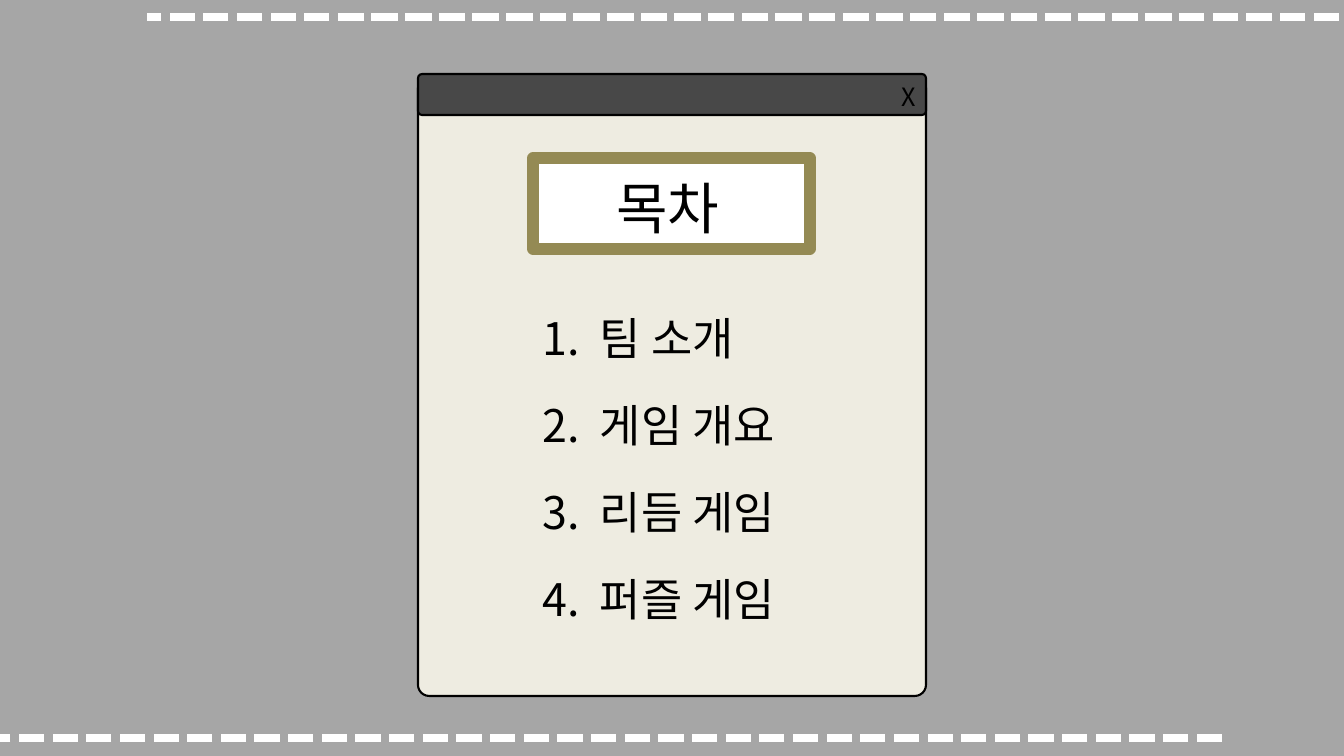
from dataclasses import dataclass

import pptx
import pptx.dml.color
import pptx.enum.dml
import pptx.enum.shapes
import pptx.enum.text
import pptx.oxml
import pptx.oxml.ns
import pptx.util

EMU_PER_PX = 914400 / 100.8
SLIDE_WIDTH, SLIDE_HEIGHT = 1344, 756
NUMBER_WIDTH = 57


@dataclass(frozen=True)
class Theme:
    font: str = "Noto Sans CJK KR"
    background: str = "A6A6A6"
    dash: str = "FFFFFF"
    ink: str = "000000"
    window: str = "EEECE1"
    title_bar: str = "484848"
    heading_fill: str = "FFFFFF"
    heading_frame: str = "948A54"
    heading_size: int = 40
    item_size: int = 32
    close_size: int = 18
    outline: float = 1.5
    frame_outline: int = 8
    dash_width: int = 6


THEME = Theme()
CONTENTS = ["팀 소개", "게임 개요", "리듬 게임", "퍼즐 게임"]


def px(length):
    return pptx.util.Emu(round(length * EMU_PER_PX))


def rgb(color):
    return pptx.dml.color.RGBColor.from_string(color)


def add_element(parent, tag, **attributes):
    element = pptx.oxml.parse_xml(f"<a:{tag} {pptx.oxml.ns.nsdecls('a')}/>")
    for name, value in attributes.items():
        element.set(name, str(value))
    parent.append(element)
    return element


def add_dashed_line(slide, right, left, y):
    line = slide.shapes.add_connector(
        pptx.enum.shapes.MSO_CONNECTOR.STRAIGHT, px(right), px(y), px(left), px(y))
    line.line.color.rgb = rgb(THEME.dash)
    line.line.width = pptx.util.Pt(THEME.dash_width)
    line.line.dash_style = pptx.enum.dml.MSO_LINE.SQUARE_DOT
    add_element(line._element.spPr, "effectLst")


def add_panel(slide, box, fill, line_color, line_width, corner=None):
    """Add a filled panel; a corner ratio makes it a rounded rectangle."""
    kinds = pptx.enum.shapes.MSO_SHAPE
    kind = kinds.RECTANGLE if corner is None else kinds.ROUNDED_RECTANGLE
    shape = slide.shapes.add_shape(kind, *map(px, box))
    if corner is not None:
        shape.adjustments[0] = corner
    shape.shadow.inherit = False
    shape.fill.solid()
    shape.fill.fore_color.rgb = rgb(fill)
    shape.line.color.rgb = rgb(line_color)
    shape.line.width = pptx.util.Pt(line_width)
    add_element(shape.line._get_or_add_ln(), "round")


def add_text(slide, box, text, size, centered=False, tab_stop=None):
    frame = slide.shapes.add_textbox(*map(px, box)).text_frame
    frame.word_wrap = True
    frame.auto_size = pptx.enum.text.MSO_AUTO_SIZE.SHAPE_TO_FIT_TEXT
    frame.text = text
    paragraph = frame.paragraphs[0]
    if centered:
        paragraph.alignment = pptx.enum.text.PP_ALIGN.CENTER
    if tab_stop is not None:
        tabs = add_element(paragraph._p.get_or_add_pPr(), "tabLst")
        add_element(tabs, "tab", pos=px(tab_stop), algn="l")
    for run in paragraph.runs:
        run.font.size = pptx.util.Pt(size)
        run.font.name = THEME.font
        run.font.color.rgb = rgb(THEME.ink)
        add_element(run._r.get_or_add_rPr(), "ea", typeface=THEME.font)


def add_window(slide, left, top, width, height):
    add_panel(slide, (left, top + 3, width, height - 3),
              THEME.window, THEME.ink, THEME.outline, 0.022)
    add_panel(slide, (left, top, width, 41),
              THEME.title_bar, THEME.ink, THEME.outline, 0.1)
    add_text(slide, (left + width - 64, top + 2, 94, 40), "X",
             THEME.close_size, centered=True)


def add_heading(slide, left, top, width, height):
    add_panel(slide, (left, top, width, height),
              THEME.heading_fill, THEME.heading_frame, THEME.frame_outline)
    add_text(slide, (left + 46, top + 11, 178, 78), "목차",
             THEME.heading_size, centered=True)


def add_contents(slide, left, top, width, height):
    """Stack the numbered entries evenly in the box."""
    step = height // len(CONTENTS)
    for index, entry in enumerate(CONTENTS):
        add_text(slide, (left, top + index * step, width, 65),
                 f"{index + 1}.\t{entry}", THEME.item_size, tab_stop=NUMBER_WIDTH)


def add_contents_slide(presentation):
    slide = presentation.slides.add_slide(presentation.slide_layouts[6])
    slide.background.fill.solid()
    slide.background.fill.fore_color.rgb = rgb(THEME.background)
    for right, left, y in ((1339, 147, 17), (1222, 0, 738), (1172, 339, 17)):
        add_dashed_line(slide, right, left, y)
    add_window(slide, 418, 74, 508, 622)
    add_heading(slide, 533, 158, 277, 91)
    add_contents(slide, 533, 306, 277, 348)


def main():
    presentation = pptx.Presentation()
    presentation.slide_width = px(SLIDE_WIDTH)
    presentation.slide_height = px(SLIDE_HEIGHT)
    add_contents_slide(presentation)
    presentation.save("out.pptx")


if __name__ == "__main__":
    main()
